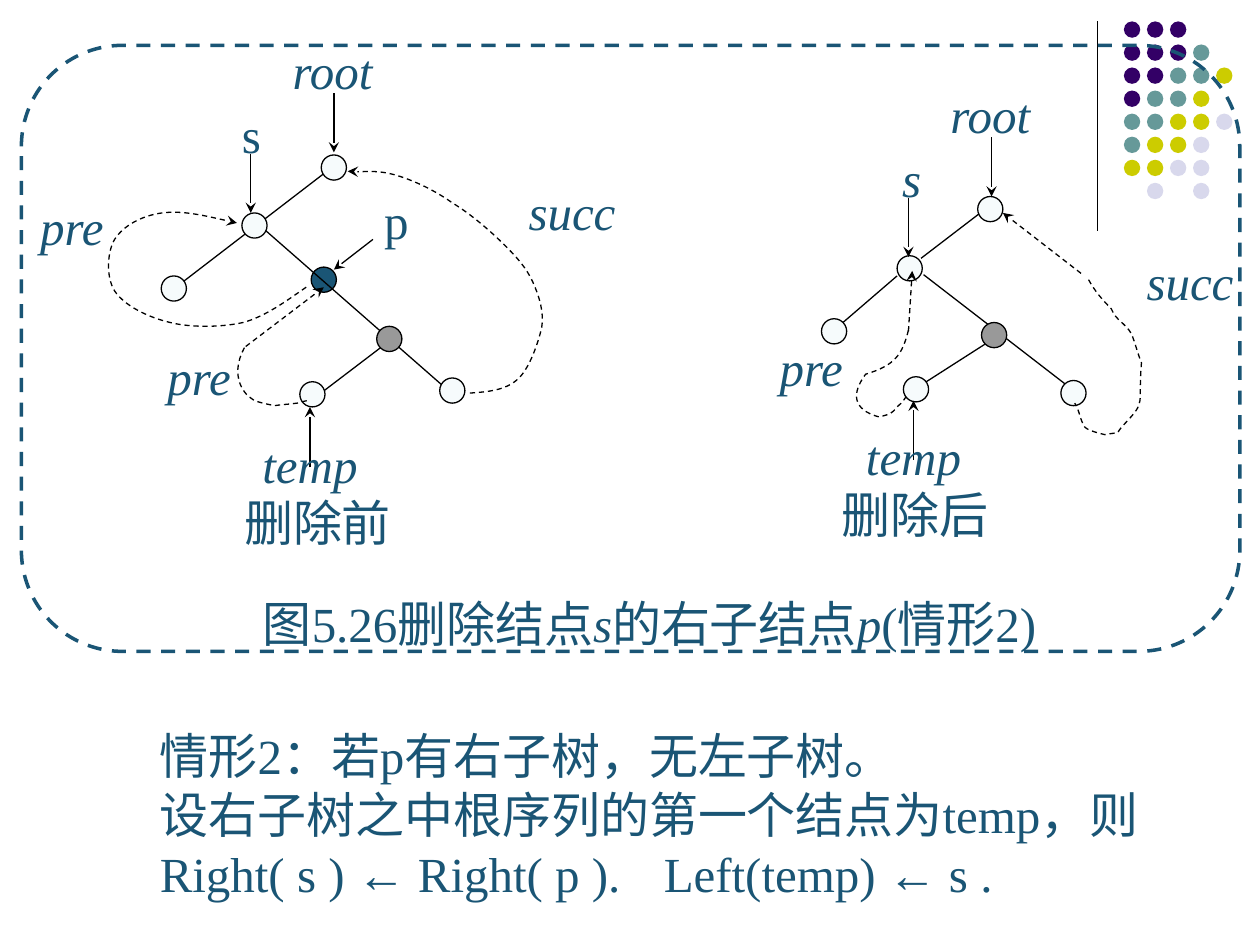
import pptx
import pptx.chart.data
import pptx.dml.color
import pptx.enum.dml
import pptx.enum.shapes
import pptx.enum.text
import pptx.oxml
import pptx.oxml.ns
import pptx.util

COLORS = {"ink": "1A5575", "line": "000000", "pale": "F6FBFC", "gray": "999999",
          "P": "330066", "T": "669999", "Y": "CCCC00", "L": "D8D8EC"}
FONT = "Times New Roman"
ALIGN = pptx.enum.text.PP_ALIGN
SHAPE = pptx.enum.shapes.MSO_SHAPE
qn = pptx.oxml.ns.qn


def inch(value):
    return pptx.util.Cm(value * 2.54)


def color(name):
    return pptx.dml.color.RGBColor.from_string(COLORS[name])


def add_xml(parent, tag, **attributes):
    child = parent.makeelement(qn(tag), attributes)
    parent.append(child)
    return child


def style_line(shape, name="line", width=0.75, dashed=False, arrow=False):
    shape.line.color.rgb = color(name)
    shape.line.width = pptx.util.Pt(width)
    if dashed:
        shape.line.dash_style = pptx.enum.dml.MSO_LINE_DASH_STYLE.DASH
    if arrow:
        add_xml(shape.line._get_or_add_ln(), "a:tailEnd", type="stealth")


def add_line(slide, box, ends, **style):
    left, top = box
    x1, y1, x2, y2 = ends
    connector = slide.shapes.add_connector(
        pptx.enum.shapes.MSO_CONNECTOR.STRAIGHT,
        inch(left + x1), inch(top + y1), inch(left + x2), inch(top + y2))
    style_line(connector, **style)
    add_xml(connector.element.spPr, "a:effectLst")


def add_dot(slide, left, top, size, fill):
    dot = slide.shapes.add_shape(SHAPE.OVAL, inch(left), inch(top), inch(size), inch(size))
    dot.shadow.inherit = False
    dot.fill.solid()
    dot.fill.fore_color.rgb = color(fill)
    dot.line.fill.background()
    return dot


def add_node(slide, box, x, y, fill="pale"):
    style_line(add_dot(slide, box[0] + x, box[1] + y, 0.2, fill))


def add_curve(slide, box, values, arrow=False):
    points = [(inch(box[0] + x), inch(box[1] + y)) for x, y in zip(values[::2], values[1::2])]
    builder = slide.shapes.build_freeform(*points[0])
    builder.add_line_segments(points[1:], close=False)
    curve = builder.convert_to_shape()
    curve.shadow.inherit = False
    curve.fill.background()
    style_line(curve, dashed=True, arrow=arrow)
    outline = next(curve.element.iter(qn("a:path")))
    segments = outline.findall(qn("a:lnTo"))
    for start in range(0, len(segments), 3):
        bezier = add_xml(outline, "a:cubicBezTo")
        for segment in segments[start:start + 3]:
            bezier.append(segment[0])
            outline.remove(segment)


def add_text(slide, box, paragraphs, align=ALIGN.LEFT, spacing=None, inset=0):
    text_box = slide.shapes.add_textbox(*[inch(value) for value in box])
    frame = text_box.text_frame
    frame.word_wrap = True
    if not inset:
        frame.margin_left = frame.margin_right = frame.margin_top = frame.margin_bottom = 0
    for index, runs in enumerate(paragraphs):
        paragraph = frame.add_paragraph() if index else frame.paragraphs[0]
        paragraph.alignment = align
        if spacing:
            paragraph.line_spacing = pptx.util.Pt(spacing)
        for text, italic in runs:
            run = paragraph.add_run()
            run.text = text
            run.font.name = FONT
            run.font.size = pptx.util.Pt(28)
            run.font.italic = italic
            run.font.color.rgb = color("ink")


def add_corner(slide, box):
    add_line(slide, box, (0, 0, 0, 1.66))
    rows = ["PPP", "PPPT", "PPTTY", "PTTY", "TTYYL", "TYYL", "YYLL", " L L"]
    pitch = 0.183
    for row, letters in enumerate(rows):
        for column, letter in enumerate(letters):
            if letter != " ":
                add_dot(slide, box[0] + 0.21 + column * pitch, box[1] + row * pitch, 0.13, letter)


def add_frame(slide, box):
    left, top, width, height = box
    frame = slide.shapes.add_shape(SHAPE.ROUNDED_RECTANGLE, *[inch(value) for value in box])
    frame.shadow.inherit = False
    frame.fill.background()
    style_line(frame, "ink", 2, dashed=True)
    add_text(slide, (left + 0.66, top + 4.35, 8.65, 0.42),
             [[("图5.26删除结点", False), ("s", True), ("的右子结点", False),
               ("p", True), ("(情形2)", False)]], ALIGN.CENTER)


def add_tree(slide, box, tree):
    for node in tree["under"]:
        add_node(slide, box, *node)
    for edge in tree["edges"]:
        add_line(slide, box, edge)
    for node in tree["nodes"]:
        add_node(slide, box, *node)
    for pointer in tree["pointers"]:
        add_line(slide, box, pointer, arrow=True)
    for thread in tree["threads"]:
        add_line(slide, box, thread, dashed=True, arrow=True)
    for values, arrow in tree["curves"]:
        add_curve(slide, box, values, arrow)
    for text, x, y, width, height, italic, spacing, align in tree["labels"]:
        add_text(slide, (box[0] + x, box[1] + y, width, height), [[(text, italic)]], align, spacing)


BEFORE = {
    "under": [(2.27, 1.82, "ink")],
    "edges": [(2.42, 1.04, 1.17, 2), (1.84, 1.47, 3.37, 2.81), (2.82, 2.46, 2.36, 2.81)],
    "nodes": [(2.35, 0.93), (1.08, 1.89), (3.29, 2.7), (2.18, 2.73), (1.72, 1.39),
              (2.79, 2.29, "gray")],
    "pointers": [(1.79, 0.92, 1.79, 1.39), (2.76, 1.6, 2.45, 1.84),
                 (2.45, 0.44, 2.45, 0.91), (2.26, 3.41, 2.26, 2.93)],
    "threads": [(1.75, 2.45, 2.37, 1.98)],
    "curves": [
        ((1.74, 2.46, 1.68, 2.57, 1.66, 2.7, 1.74, 2.81, 1.76, 2.84, 1.79, 2.86, 1.82, 2.88,
          1.87, 2.9, 1.98, 2.92, 1.98, 2.92, 2.04, 2.91, 2.1, 2.91, 2.16, 2.9,
          2.19, 2.89, 2.24, 2.88, 2.24, 2.88), False),
        ((3.53, 2.82, 3.67, 2.81, 3.81, 2.8, 3.91, 2.71, 4, 2.63, 4.07, 2.43, 4.1, 2.3,
          4.12, 2.18, 4.08, 2.05, 4.03, 1.94, 3.98, 1.83, 3.91, 1.75, 3.81, 1.65,
          3.7, 1.54, 3.54, 1.4, 3.39, 1.31, 3.25, 1.21, 3.08, 1.13, 2.94, 1.09,
          2.8, 1.05, 2.65, 1.07, 2.56, 1.06), True),
        ((2.23, 1.98, 2.07, 2.09, 1.91, 2.21, 1.73, 2.26, 1.55, 2.3, 1.31, 2.3, 1.15, 2.26,
          0.98, 2.22, 0.79, 2.13, 0.71, 2.01, 0.64, 1.9, 0.65, 1.7, 0.71, 1.6,
          0.78, 1.49, 0.93, 1.41, 1.09, 1.39, 1.25, 1.37, 1.46, 1.42, 1.68, 1.47), True)],
    "labels": [("删除前", 1.54, 3.94, 1.56, 0.36, False, 10, ALIGN.CENTER),
               ("s", 1.48, 0.53, 0.63, 0.48, False, None, ALIGN.CENTER),
               ("p", 2.63, 1.21, 0.63, 0.48, False, None, ALIGN.CENTER),
               ("pre", 1.12, 2.79, 0.52, 0.3, True, 9, ALIGN.CENTER),
               ("root", 1.66, 0.02, 1.56, 0.48, True, None, ALIGN.CENTER),
               ("temp", 1.87, 3.49, 0.78, 0.31, True, 9, ALIGN.CENTER),
               ("succ", 3.92, 1.47, 0.84, 0.34, True, 10, ALIGN.CENTER),
               ("pre", 0.03, 1.6, 0.68, 0.29, True, 9, ALIGN.CENTER)]}
AFTER = {
    "under": [],
    "edges": [(1.82, 2.23, 1.32, 2.55), (1.33, 1.68, 2.47, 2.56),
              (1.78, 1.19, 1.31, 1.55), (1.12, 1.69, 0.69, 2.06)],
    "nodes": [(1.12, 1.53), (2.42, 2.52), (1.79, 2.06, "gray"), (1.17, 2.49),
              (0.52, 2.03), (1.76, 1.06)],
    "pointers": [(1.87, 0.59, 1.87, 1.06), (1.21, 1.07, 1.21, 1.54), (1.25, 3.15, 1.25, 2.68)],
    "threads": [(1.21, 2.13, 1.24, 1.65), (2.58, 1.67, 1.96, 1.19)],
    "curves": [
        ((1.21, 2.12, 1.16, 2.32, 1.1, 2.4, 0.87, 2.47, 0.76, 2.62, 0.76, 2.75, 0.98, 2.81,
          1.07, 2.78, 1.06, 2.8, 1.13, 2.72, 1.16, 2.7, 1.19, 2.65, 1.19, 2.65), False),
        ((2.64, 1.72, 2.69, 1.81, 2.74, 1.87, 2.82, 1.95, 2.86, 2.05, 2.93, 2.06, 2.98, 2.15,
          3.01, 2.22, 3.03, 2.31, 3.06, 2.38, 3.03, 2.72, 3.1, 2.68, 2.93, 2.86,
          2.83, 2.96, 2.93, 2.92, 2.77, 2.95, 2.73, 2.94, 2.64, 2.92, 2.61, 2.89,
          2.57, 2.83, 2.57, 2.76, 2.53, 2.7), False)],
    "labels": [("s", 0.92, 0.68, 0.63, 0.48, True, None, ALIGN.CENTER),
               ("pre", 0.15, 2.52, 0.54, 0.32, True, 9, ALIGN.RIGHT),
               ("删除后", 0.48, 3.67, 1.56, 0.34, False, 10, ALIGN.CENTER),
               ("root", 1.08, 0.17, 1.56, 0.48, True, None, ALIGN.CENTER),
               ("succ", 3.1, 1.84, 0.74, 0.29, True, 9, ALIGN.JUSTIFY),
               ("temp", 0.86, 3.23, 0.78, 0.31, True, 9, ALIGN.CENTER)]}
RULES = ["情形2：若p有右子树，无左子树。", "设右子树之中根序列的第一个结点为temp，则",
         "Right( s ) ← Right( p ).\tLeft(temp) ← s ."]

presentation = pptx.Presentation()
presentation.slide_width, presentation.slide_height = inch(10), inch(7.5)
slide = presentation.slides.add_slide(presentation.slide_layouts[6])
add_corner(slide, (8.71, 0.17))
add_text(slide, (1.17, 5.71, 8.34, 1.51), [[(rule, False)] for rule in RULES], inset=1)
add_frame(slide, (0.17, 0.36, 9.67, 4.81))
add_tree(slide, (6, 0.5), AFTER)
add_tree(slide, (0.2, 0.3), BEFORE)
presentation.save("out.pptx")
